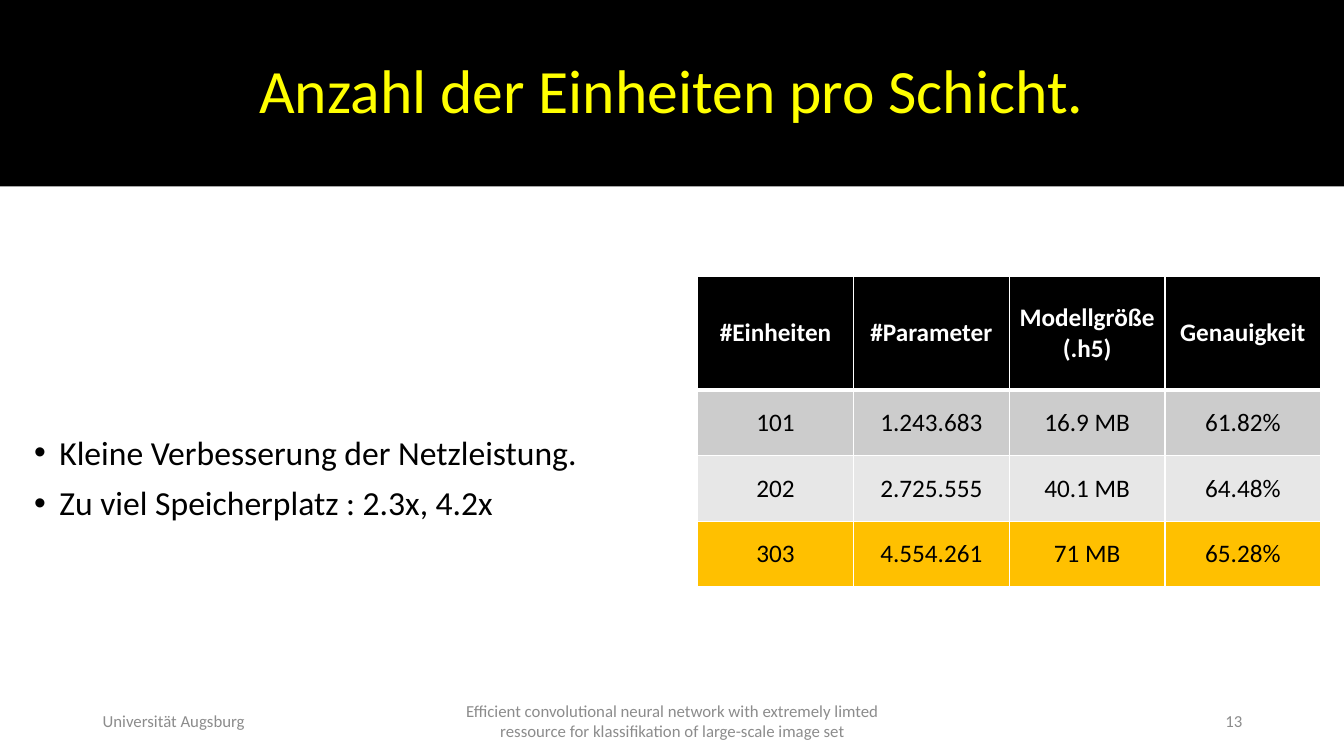
from lxml import etree
from pptx import Presentation, util as u
from pptx.dml.color import RGBColor
from pptx.enum import text as t
from pptx.oxml import ns

COLORS = {
    "black": "000000", "white": "FFFFFF", "title": "FFFF00", "footer": "8C8C8C",
    "row_dark": "CCCCCC", "row_light": "E7E7E7", "highlight": "FFC000",
}
LEFT, CENTER, RIGHT = t.PP_ALIGN.LEFT, t.PP_ALIGN.CENTER, t.PP_ALIGN.RIGHT


def rgb(name):
    return RGBColor.from_string(COLORS[name])


def add_element(parent, tag, **attributes):
    return etree.SubElement(parent, ns.qn(tag), attributes)


class SlideBuilder:
    font = "Calibri"

    def __init__(self, page):
        self.page = page

    def format(self, para, size, color, align=LEFT, bold=False):
        para.alignment = align
        para.font.name = self.font
        para.font.size = u.Pt(size)
        para.font.bold = bold
        para.font.color.rgb = rgb(color)

    def title(self, words, left, top, width, height):
        box = self.page.shapes.title
        box.left, box.top = u.Inches(left), u.Inches(top)
        box.width, box.height = u.Inches(width), u.Inches(height)
        box.fill.solid()
        box.fill.fore_color.rgb = rgb("black")
        frame = box.text_frame
        frame.text = words
        frame.auto_size = t.MSO_AUTO_SIZE.NONE
        frame.vertical_anchor = t.MSO_ANCHOR.MIDDLE
        para = frame.paragraphs[0]
        para.line_spacing = 0.9
        self.format(para, 44, "title", CENTER)

    def text(self, words, left, top, width, height, size, color, align=LEFT):
        box = self.page.shapes.add_textbox(*map(u.Inches, (left, top, width, height)))
        frame = box.text_frame
        frame.word_wrap = True
        frame.vertical_anchor = t.MSO_ANCHOR.MIDDLE
        frame.text = words
        for para in frame.paragraphs:
            self.format(para, size, color, align)
        return frame

    def bullets(self, items, left, top, width, height):
        frame = self.text("\n".join(items), left, top, width, height, 24, "black")
        for index, para in enumerate(frame.paragraphs):
            properties = para._p.get_or_add_pPr()
            indent = u.Inches(0.25)
            properties.set("marL", str(indent))
            properties.set("indent", str(-indent))
            bullet_font = add_element(properties, "a:buFont", typeface="Arial")
            bullet = add_element(properties, "a:buChar", char="•")
            bullet_font.addnext(bullet)
            default_run = properties.find(ns.qn("a:defRPr"))
            if default_run is not None:
                properties.append(default_run)
            para.line_spacing = 0.9
            para.space_before = u.Pt(10 if index else 0)

    def borders(self, cell, bottom):
        properties = cell._tc.get_or_add_tcPr()
        for side, points in (("L", 1), ("R", 1), ("T", 1), ("B", bottom)):
            line = add_element(properties, f"a:ln{side}", w=str(u.Pt(points)))
            fill = add_element(line, "a:solidFill")
            add_element(fill, "a:srgbClr", val=COLORS["white"])

    def table(self, rows, fills, heights, left, top, width):
        table = self.page.shapes.add_table(
            len(rows), len(rows[0]),
            *map(u.Inches, (left, top, width, sum(heights)))).table
        for column in table.columns:
            column.width = u.Inches(width / len(rows[0]))
        for r, (values, fill, height) in enumerate(zip(rows, fills, heights)):
            table.rows[r].height = u.Inches(height)
            for c, value in enumerate(values):
                cell = table.cell(r, c)
                cell.text = value
                cell.vertical_anchor = t.MSO_ANCHOR.MIDDLE
                self.borders(cell, 1 if r else 3)
                cell.fill.solid()
                cell.fill.fore_color.rgb = rgb(fill)
                for para in cell.text_frame.paragraphs:
                    self.format(para, 18, "black" if r else "white", CENTER, not r)


def main():
    deck = Presentation()
    deck.slide_width, deck.slide_height = u.Inches(13.33), u.Inches(7.5)
    slide = SlideBuilder(deck.slides.add_slide(deck.slide_layouts[5]))

    slide.title("Anzahl der Einheiten pro Schicht.", 0, 0, 13.33, 1.85)
    slide.bullets(["Kleine Verbesserung der Netzleistung.",
                   "Zu viel Speicherplatz : 2.3x, 4.2x"], 0.24, 2.74, 6.31, 4.03)
    slide.table(
        [["#Einheiten", "#Parameter", "Modellgröße\n(.h5)", "Genauigkeit"],
         ["101", "1.243.683", "16.9 MB", "61.82%"],
         ["202", "2.725.555", "40.1 MB", "64.48%"],
         ["303", "4.554.261", "71 MB", "65.28%"]],
        ["black", "row_dark", "row_light", "highlight"],
        [1.13, 0.65, 0.65, 0.65], 6.92, 2.74, 6.18)
    footers = [
        ("Universität Augsburg", 0.92, 3, LEFT),
        ("Efficient convolutional neural network with extremely limted "
         "ressource for klassifikation of large-scale image set", 4.42, 4.5, CENTER),
        ("13", 9.42, 3, RIGHT),
    ]
    for words, left, width, align in footers:
        slide.text(words, left, 6.95, width, 0.4, 12, "footer", align)

    deck.save("out.pptx")


if __name__ == "__main__":
    main()
